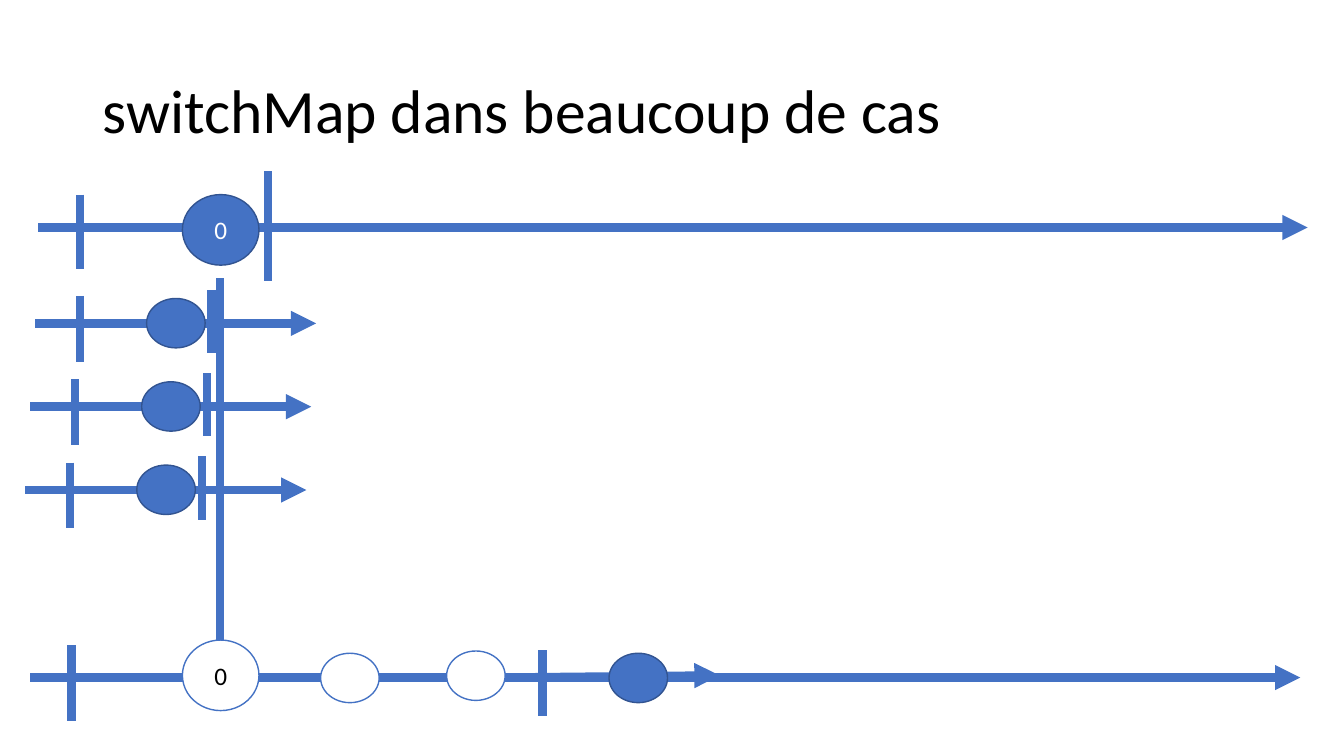
from dataclasses import dataclass

from pptx import Presentation
from pptx.dml.color import RGBColor
from pptx.enum import shapes, text
from pptx.oxml import ns
from pptx.oxml import xmlchemy
from pptx.slide import Slide
from pptx.text.text import TextFrame
from pptx.util import Pt
from lxml import etree

COLOURS = {"blue": "4472C4", "edge": "325491", "white": "FFFFFF", "black": "000000"}
FONT = "Calibri"
LINE_WIDTH = 6
SMALL = (41.8, 35.3)
LARGE = (54.7, 50.4)


@dataclass
class Stroke:
    x1: float
    y1: float
    x2: float
    y2: float
    arrow: bool = False


@dataclass
class Marble:
    left: float
    top: float
    size: tuple[float, float] = SMALL
    label: str = ""
    fill: str = "blue"
    edge: str = "edge"
    ink: str = "white"


def colour(name: str) -> RGBColor:
    return RGBColor.from_string(COLOURS[name])


def add_span(frame: TextFrame, words: str, size: float, ink: str) -> None:
    span = frame.paragraphs[0].add_run()
    span.text = words
    span.font.name = FONT
    span.font.size = Pt(size)
    span.font.color.rgb = colour(ink)


def draw_title(page: Slide, words: str) -> None:
    box = page.shapes.add_textbox(Pt(66), Pt(28.8), Pt(828), Pt(104.4))
    frame = box.text_frame
    frame.word_wrap = True
    frame.vertical_anchor = text.MSO_ANCHOR.MIDDLE
    frame.paragraphs[0].line_spacing = 0.9
    add_span(frame, words, 44, "black")


def draw_stroke(page: Slide, stroke: Stroke) -> None:
    connector = page.shapes.add_connector(
        shapes.MSO_CONNECTOR.STRAIGHT,
        Pt(stroke.x1), Pt(stroke.y1), Pt(stroke.x2), Pt(stroke.y2),
    )
    connector.line.color.rgb = colour("blue")
    connector.line.width = Pt(LINE_WIDTH)
    properties = connector._element.spPr
    if stroke.arrow:
        outline = properties.find(ns.qn("a:ln"))
        etree.SubElement(outline, ns.qn("a:tailEnd"), type="triangle")
    etree.SubElement(properties, ns.qn("a:effectLst"))


def draw_marble(page: Slide, marble: Marble) -> None:
    width, height = marble.size
    oval = page.shapes.add_shape(
        shapes.MSO_SHAPE.OVAL,
        Pt(marble.left), Pt(marble.top), Pt(width), Pt(height),
    )
    oval.shadow.inherit = False
    oval.fill.solid()
    oval.fill.fore_color.rgb = colour(marble.fill)
    oval.line.color.rgb = colour(marble.edge)
    oval.line.width = Pt(1)
    if marble.label:
        frame = oval.text_frame
        frame.vertical_anchor = text.MSO_ANCHOR.MIDDLE
        frame.paragraphs[0].alignment = text.PP_ALIGN.CENTER
        add_span(frame, marble.label, 18, marble.ink)


def inner_timeline(row: int) -> list[Stroke | Marble]:
    """Each inner timeline sits lower and slightly further left."""
    x, y = 25.2 - 3.5 * row, 231 + 59.5 * row
    return [
        Stroke(x, y, x + 200.6, y, arrow=True),
        Stroke(x + 31.8, y - 19.6, x + 31.8, y + 27.5),
        Marble(x + 79.5, y - 17.8),
        Stroke(x + 126, y - 24, x + 126, y + 21.3),
    ]


def hollow(left: float, top: float, size: tuple[float, float] = SMALL,
           label: str = "") -> Marble:
    return Marble(left, top, size, label, "white", "blue", "black")


def main() -> None:
    deck = Presentation()
    deck.slide_width, deck.slide_height = Pt(960), Pt(540)
    page = deck.slides.add_slide(deck.slide_layouts[6])
    draw_title(page, "switchMap dans beaucoup de cas")

    # Source timeline
    source = [
        Stroke(27.4, 162.5, 934, 162.5, arrow=True),
        Stroke(57, 139, 57, 192.5),
        Marble(130.3, 139, LARGE, "0"),
        Stroke(191.5, 122.4, 191.5, 200.9),
    ]
    # Inner timelines
    inner = [item for row in range(3) for item in inner_timeline(row)]
    # Result timeline, with the link from the source value
    result = [
        Stroke(21.6, 484, 928.8, 484, arrow=True),
        Stroke(51, 461, 51, 514.8),
        Stroke(157, 198.7, 157, 473.8),
        Stroke(355.7, 484, 514, 482.4, arrow=True),
        Stroke(387.4, 464.4, 387.4, 511.2),
        Marble(435, 466.6),
        hollow(130.3, 457.2, LARGE, "0"),
        hollow(229, 466.6),
        hollow(319, 465),
    ]
    for item in source + inner + result:
        if isinstance(item, Stroke):
            draw_stroke(page, item)
        else:
            draw_marble(page, item)

    deck.save("out.pptx")


if __name__ == "__main__":
    main()
